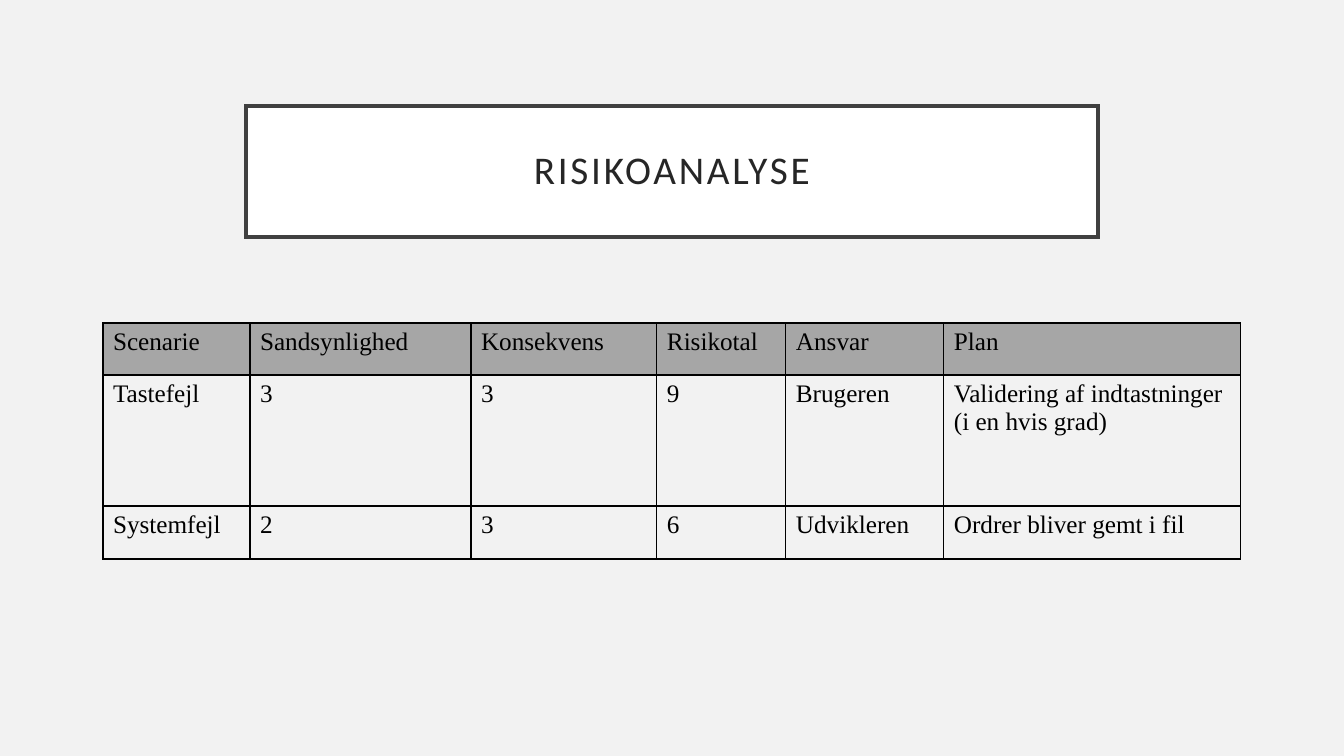
from lxml import etree
from pptx import Presentation
from pptx.dml.color import RGBColor
from pptx.enum.text import MSO_ANCHOR, PP_ALIGN
from pptx.oxml.ns import qn
from pptx.util import Pt

MIDDLE = MSO_ANCHOR.MIDDLE
CENTER = PP_ALIGN.CENTER
TITLE_ONLY_LAYOUT = 5
EMU_PER_PX = 914400 / 100.8

THEME = {
    "background": "F2F2F2",
    "title_fill": "FFFFFF",
    "title_line": "404040",
    "header_fill": "A6A6A6",
    "border": "000000",
    "title_font": {"name": "Calibri", "size": Pt(28), "color": "262626"},
    "table_font": {"name": "Times New Roman", "size": Pt(18), "color": "000000"},
}

TITLE_BOX = {"left": 246, "top": 106, "width": 852, "height": 131}
TITLE_INSET = 20
TABLE_LEFT, TABLE_TOP = 103, 323
COLUMN_WIDTHS = [147, 221, 186, 129, 158, 297]
ROW_HEIGHTS = [52, 131, 53]
RISKS = [
    ["Scenarie", "Sandsynlighed", "Konsekvens", "Risikotal", "Ansvar", "Plan"],
    ["Tastefejl", "3", "3", "9", "Brugeren",
     "Validering af indtastninger (i en hvis grad)"],
    ["Systemfejl", "2", "3", "6", "Udvikleren", "Ordrer bliver gemt i fil"],
]


def px(length):
    return round(length * EMU_PER_PX)


def write_text(text_frame, text, font_values):
    """Put one formatted run in the frame and return its paragraph."""
    paragraph = text_frame.paragraphs[0]
    run = paragraph.add_run()
    run.text = text
    for name, value in font_values.items():
        if name == "color":
            run.font.color.rgb = RGBColor.from_string(value)
        else:
            setattr(run.font, name, value)
    return paragraph


presentation = Presentation()
presentation.slide_width = px(1344)
presentation.slide_height = px(756)
slide = presentation.slides.add_slide(presentation.slide_layouts[TITLE_ONLY_LAYOUT])
background = slide.background.fill
background.solid()
background.fore_color.rgb = RGBColor.from_string(THEME["background"])

# Framed title
title = slide.shapes.title
for side, length in TITLE_BOX.items():
    setattr(title, side, px(length))
title.fill.solid()
title.fill.fore_color.rgb = RGBColor.from_string(THEME["title_fill"])
title.line.color.rgb = RGBColor.from_string(THEME["title_line"])
title.line.width = Pt(2.5)
etree.SubElement(title.line._get_or_add_ln(), qn("a:miter"), lim="800000")

title_frame = title.text_frame
title_frame.word_wrap = True
title_frame.vertical_anchor = MIDDLE
for side in ("left", "right", "top", "bottom"):
    setattr(title_frame, f"margin_{side}", px(TITLE_INSET))
paragraph = write_text(title_frame, "RISIKOANALYSE", THEME["title_font"])
paragraph.alignment = CENTER
paragraph.line_spacing = 0.9
paragraph.runs[0].font._element.set("spc", "200")

# Risk table
table = slide.shapes.add_table(
    len(ROW_HEIGHTS), len(COLUMN_WIDTHS), px(TABLE_LEFT), px(TABLE_TOP),
    px(sum(COLUMN_WIDTHS)), px(sum(ROW_HEIGHTS))).table
table.first_row = False
table.horz_banding = False
for column, width in zip(table.columns, COLUMN_WIDTHS):
    column.width = px(width)
for row, height in zip(table.rows, ROW_HEIGHTS):
    row.height = px(height)

for row_index, risk in enumerate(RISKS):
    for column_index, text in enumerate(risk):
        cell = table.cell(row_index, column_index)
        write_text(cell.text_frame, text, THEME["table_font"])
        cell_properties = cell._tc.get_or_add_tcPr()
        for edge in ("lnL", "lnR", "lnT", "lnB"):
            border = etree.SubElement(cell_properties, qn(f"a:{edge}"), w=str(Pt(1)))
            border_fill = etree.SubElement(border, qn("a:solidFill"))
            etree.SubElement(border_fill, qn("a:srgbClr"), val=THEME["border"])
        if row_index == 0:
            cell.fill.solid()
            cell.fill.fore_color.rgb = RGBColor.from_string(THEME["header_fill"])
        else:
            cell.fill.background()

presentation.save("out.pptx")
